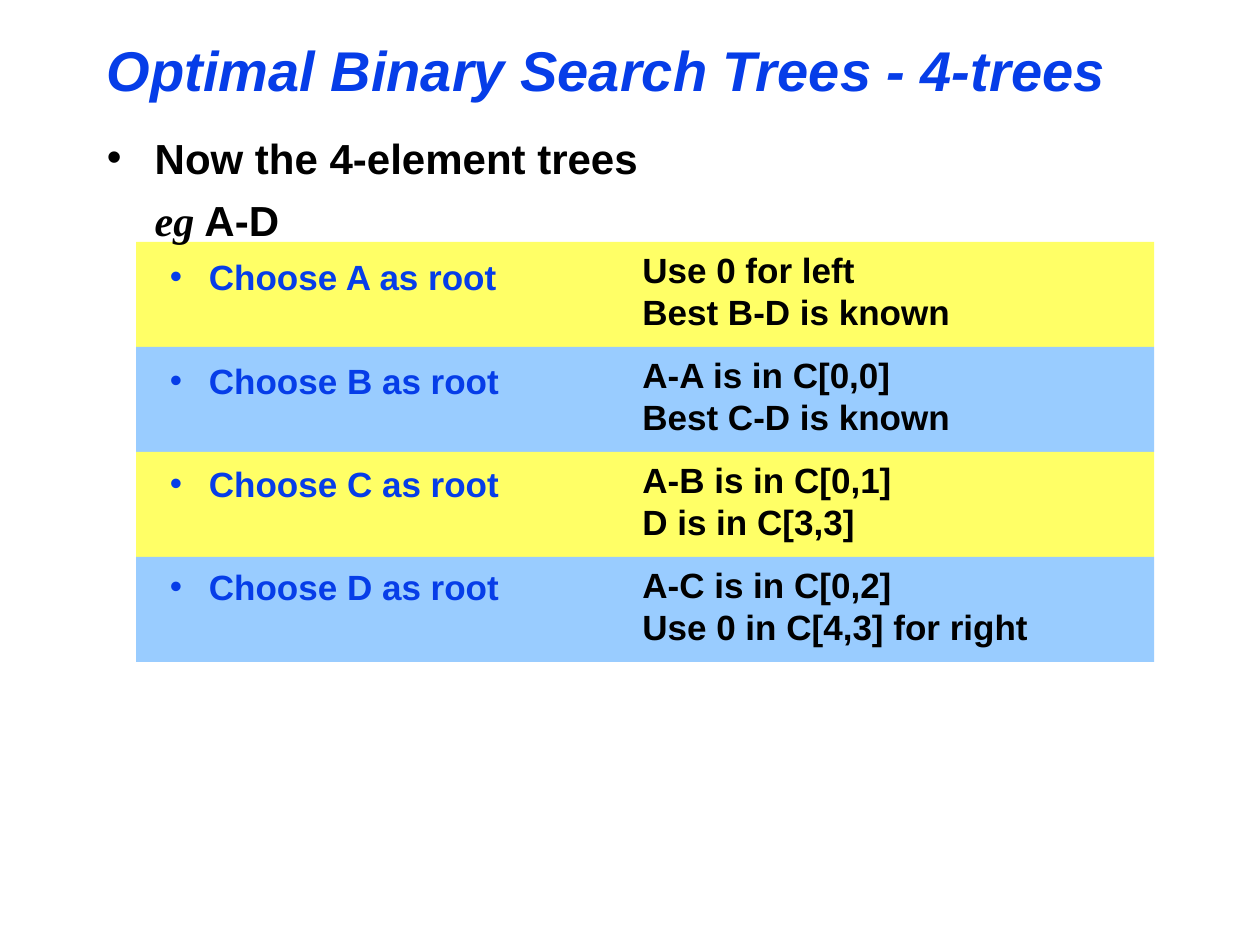
from dataclasses import dataclass

import pptx
import pptx.dml.color
import pptx.enum.shapes
import pptx.enum.text
import pptx.oxml.ns
import pptx.util
from lxml import etree
from pptx.util import Inches

YELLOW, SKY, BLUE, BLACK = "FFFF66", "99CCFF", "063DE8", "000000"
ROW_TOP, ROW_HEIGHT = 1.92, 2.5 / 3


@dataclass
class RootCase:
    root: str
    left_cost: str
    right_cost: str


CASES = [
    RootCase("A", "Use 0 for left", "Best B-D is known"),
    RootCase("B", "A-A is in C[0,0]", "Best C-D is known"),
    RootCase("C", "A-B is in C[0,1]", "D is in C[3,3]"),
    RootCase("D", "A-C is in C[0,2]", "Use 0 in C[4,3] for right"),
]


def rgb(color: str) -> pptx.dml.color.RGBColor:
    return pptx.dml.color.RGBColor.from_string(color)


def style(font, size: int, color: str, name: str = "Arial", italic: bool = False) -> None:
    font.name = name
    font.size = pptx.util.Pt(size)
    font.bold = True
    font.italic = italic
    font.color.rgb = rgb(color)


def add_text_frame(slide, left: float, top: float, width: float, height: float, wrap: bool = True):
    box = slide.shapes.add_textbox(Inches(left), Inches(top), Inches(width), Inches(height))
    box.text_frame.word_wrap = wrap
    return box.text_frame


def indent(paragraph, margin: float, hanging: float = 0, bullet_color: str = "") -> None:
    """Set the left margin and, when a colour is given, a hanging bullet."""
    properties = paragraph._p.get_or_add_pPr()
    properties.set("marL", str(Inches(margin)))
    properties.set("indent", str(Inches(-hanging)))
    if bullet_color:
        qn = pptx.oxml.ns.qn
        color = etree.SubElement(properties, qn("a:buClr"))
        etree.SubElement(color, qn("a:srgbClr"), val=bullet_color)
        etree.SubElement(properties, qn("a:buFont"), typeface="Arial")
        etree.SubElement(properties, qn("a:buChar"), char="•")


def add_band(slide, row: int) -> None:
    band = slide.shapes.add_shape(
        pptx.enum.shapes.MSO_SHAPE.RECTANGLE, Inches(1.08),
        Inches(ROW_TOP + row * ROW_HEIGHT), Inches(8.08), Inches(ROW_HEIGHT))
    band.shadow.inherit = False
    band.fill.solid()
    band.fill.fore_color.rgb = rgb(SKY if row % 2 else YELLOW)
    band.line.fill.background()


def add_title(slide) -> None:
    frame = add_text_frame(slide, 0.75, 0.17, 8.5, 0.75)
    frame.vertical_anchor = pptx.enum.text.MSO_ANCHOR.MIDDLE
    title = frame.paragraphs[0]
    title.text = "Optimal Binary Search Trees - 4-trees"
    style(title.font, 32, BLUE, italic=True)


def add_outline(slide) -> None:
    frame = add_text_frame(slide, 0.75, 1, 4.5, 6.08)
    heading = frame.paragraphs[0]
    heading.text = "Now the 4-element trees"
    heading.space_before = pptx.util.Pt(3)
    style(heading.font, 24, BLACK)
    indent(heading, 0.38, 0.38, BLACK)

    example = frame.add_paragraph()
    example.space_before = pptx.util.Pt(7)
    indent(example, 0.38)
    for text, font_name, italic in (("eg", "Times New Roman", True), (" A-D", "Arial", False)):
        run = example.add_run()
        run.text = text
        style(run.font, 24, BLACK, font_name, italic)

    for row, case in enumerate(CASES):
        choice = frame.add_paragraph()
        choice.text = f"Choose {case.root} as root"
        choice.level = 1
        choice.space_before = pptx.util.Pt(35 if row else 6)
        style(choice.font, 20, BLUE)
        indent(choice, 0.81, 0.31, BLUE)


def add_costs(slide, row: int, case: RootCase) -> None:
    frame = add_text_frame(slide, 5, ROW_TOP + row * ROW_HEIGHT, 3.26, 0.77, wrap=False)
    frame.text = f"{case.left_cost}\n{case.right_cost}"
    for paragraph in frame.paragraphs:
        style(paragraph.font, 20, BLACK)


def main() -> None:
    presentation = pptx.Presentation()
    presentation.slide_width, presentation.slide_height = Inches(10), Inches(7.5)
    slide = presentation.slides.add_slide(presentation.slide_layouts[6])
    for row in range(len(CASES)):
        add_band(slide, row)
    add_title(slide)
    add_outline(slide)
    for row, case in enumerate(CASES):
        add_costs(slide, row, case)
    presentation.save("out.pptx")


if __name__ == "__main__":
    main()
